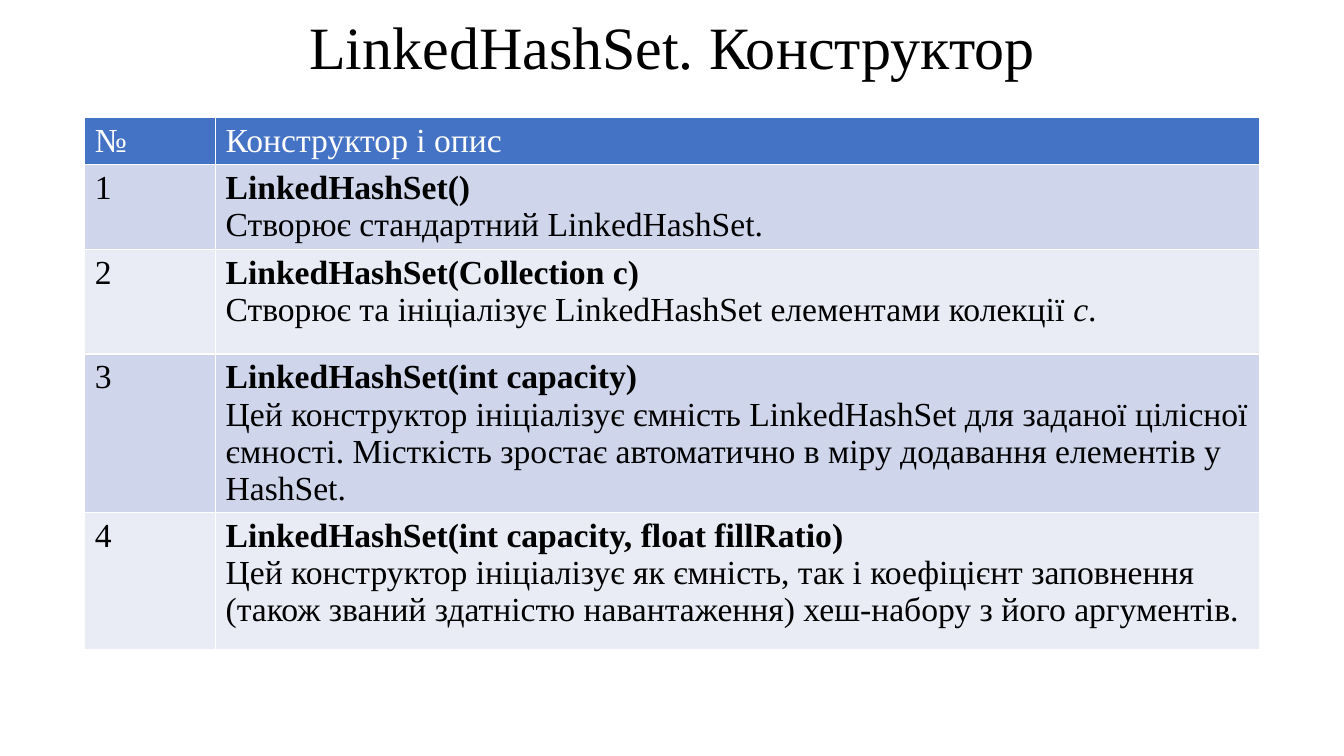
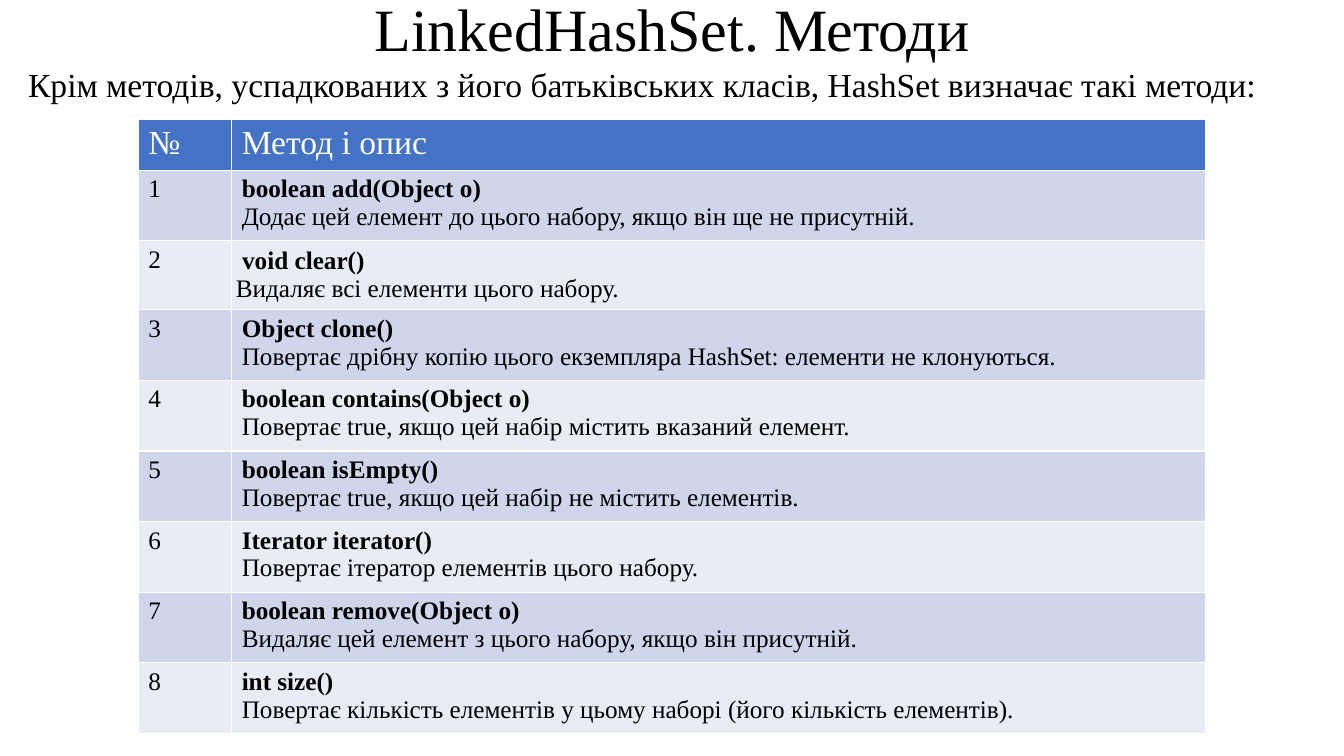
from lxml.etree import SubElement
from pptx import Presentation
from pptx.dml.color import RGBColor
from pptx.enum.text import MSO_ANCHOR as Anchor, MSO_AUTO_SIZE as AutoSize, PP_ALIGN as Align
from pptx.oxml.ns import qn
from pptx.util import Pt

SLIDE_W, SLIDE_H = 960, 540
TITLE_H = 71.3
FONT = "Times New Roman"
TITLE_ONLY = 5
COLORS = {
    "text": "000000",
    "header_text": "FFFFFF",
    "header": "4472C4",
    "odd_row": "CFD5EA",
    "even_row": "E9EBF5",
    "border": "FFFFFF",
}

# Each description is a list of (text, italic) runs.
CONSTRUCTORS = [
    ("LinkedHashSet()", [("Створює стандартний LinkedHashSet.", False)]),
    ("LinkedHashSet(Collection c)",
     [("Створює та ініціалізує LinkedHashSet елементами колекції ", False),
      ("с", True), (".", False)]),
    ("LinkedHashSet(int capacity)",
     [("Цей конструктор ініціалізує ємність LinkedHashSet для заданої цілісної "
       "ємності. Місткість зростає автоматично в міру додавання елементів у "
       "HashSet.", False)]),
    ("LinkedHashSet(int capacity, float fillRatio)",
     [("Цей конструктор ініціалізує як ємність, так і коефіцієнт заповнення "
       "(також званий здатністю навантаження) хеш-набору з його аргументів.", False)]),
]
METHODS = [
    (signature, [(description, False)]) for signature, description in [
        ("boolean add(Object o)",
         "Додає цей елемент до цього набору, якщо він ще не присутній."),
        (" void clear()", "Видаляє всі елементи цього набору."),
        ("Object clone()",
         "Повертає дрібну копію цього екземпляра HashSet: елементи не клонуються."),
        ("boolean contains(Object o)",
         "Повертає true, якщо цей набір містить вказаний елемент."),
        ("boolean isEmpty()", "Повертає true, якщо цей набір не містить елементів."),
        ("Iterator iterator()", "Повертає ітератор елементів цього набору."),
        ("boolean remove(Object o)",
         "Видаляє цей елемент з цього набору, якщо він присутній."),
        ("int size()",
         "Повертає кількість елементів у цьому наборі (його кількість елементів)."),
    ]
]


def add_run(paragraph, text, size, color="text", bold=False, italic=False):
    run = paragraph.add_run()
    run.text = text
    font = run.font
    font.name, font.size = FONT, Pt(size)
    font.bold, font.italic = bold, italic
    font.color.rgb = RGBColor.from_string(COLORS[color])


def add_titled_slide(prs, title, top=0):
    slide = prs.slides.add_slide(prs.slide_layouts[TITLE_ONLY])
    heading = slide.shapes.title
    heading.left, heading.top = Pt(0), Pt(top)
    heading.width, heading.height = Pt(SLIDE_W), Pt(TITLE_H)
    frame = heading.text_frame
    frame.vertical_anchor = Anchor.MIDDLE
    frame.auto_size = AutoSize.NONE
    paragraph = frame.paragraphs[0]
    paragraph.alignment = Align.CENTER
    paragraph.line_spacing = 0.9
    add_run(paragraph, title, 42.9)
    return slide


def add_lead(slide, text, left, top, width, height):
    """Place the sentence that introduces a table."""
    lead = slide.shapes.add_textbox(Pt(left), Pt(top), Pt(width), Pt(height))
    lead.text_frame.word_wrap = True
    add_run(lead.text_frame.paragraphs[0], text, 24)


def paint_cell(cell, fill):
    """Give the cell thin borders on all sides and a plain fill."""
    props = cell._tc.get_or_add_tcPr()
    for side in ("a:lnL", "a:lnR", "a:lnT", "a:lnB"):
        line = SubElement(props, qn(side), w=str(Pt(1)))
        solid = SubElement(line, qn("a:solidFill"))
        SubElement(solid, qn("a:srgbClr"), val=COLORS["border"])
    cell.fill.solid()
    cell.fill.fore_color.rgb = RGBColor.from_string(COLORS[fill])


def add_reference_table(slide, left, top, col_widths, row_heights, heading, entries, size):
    """Place a numbered table of signatures with descriptions."""
    frame = slide.shapes.add_table(
        len(row_heights), len(col_widths), Pt(left), Pt(top),
        Pt(sum(col_widths)), Pt(sum(row_heights)))
    table = frame.table
    table.horz_banding = False
    for column, width in zip(table.columns, col_widths):
        column.width = Pt(width)
    for row, height in zip(table.rows, row_heights):
        row.height = Pt(height)

    for cell, label in zip(table.rows[0].cells, ("№", heading)):
        paint_cell(cell, "header")
        add_run(cell.text_frame.paragraphs[0], label, 24, "header_text")

    for number, (signature, description) in enumerate(entries, 1):
        number_cell, entry_cell = table.rows[number].cells
        for cell in (number_cell, entry_cell):
            paint_cell(cell, "odd_row" if number % 2 else "even_row")
        add_run(number_cell.text_frame.paragraphs[0], str(number), size)
        add_run(entry_cell.text_frame.paragraphs[0], signature, size, bold=True)
        paragraph = entry_cell.text_frame.add_paragraph()
        for text, italic in description:
            add_run(paragraph, text, size, italic=italic)
    return table


def build_constructors(prs):
    slide = add_titled_slide(prs, "LinkedHashSet. Конструктор")
    add_reference_table(
        slide, 60.5, 83.8, (93.5, 745.8), (33.3, 60.5, 74.8, 113, 97.9),
        "Конструктор і опис", CONSTRUCTORS, 24)


def build_methods(prs):
    slide = add_titled_slide(prs, "LinkedHashSet. Методи", top=-13)
    add_lead(
        slide,
        "Крім методів, успадкованих з його батьківських класів, HashSet визначає такі методи:",
        13, 41.8, 909.4, 36)
    row_heights = [36] + [50.3] * len(METHODS)
    row_heights[2] = 49
    table = add_reference_table(
        slide, 98.8, 85.6, (66.7, 695.5), row_heights, "Метод і опис", METHODS, 18)
    clear_cell = table.cell(2, 1)
    clear_cell.vertical_anchor = Anchor.MIDDLE
    clear_cell.margin_left = clear_cell.margin_right = Pt(3)
    clear_cell.margin_top = clear_cell.margin_bottom = Pt(3)


def main():
    prs = Presentation()
    prs.slide_width, prs.slide_height = Pt(SLIDE_W), Pt(SLIDE_H)
    build_constructors(prs)
    build_methods(prs)
    prs.save("out.pptx")


if __name__ == "__main__":
    main()
